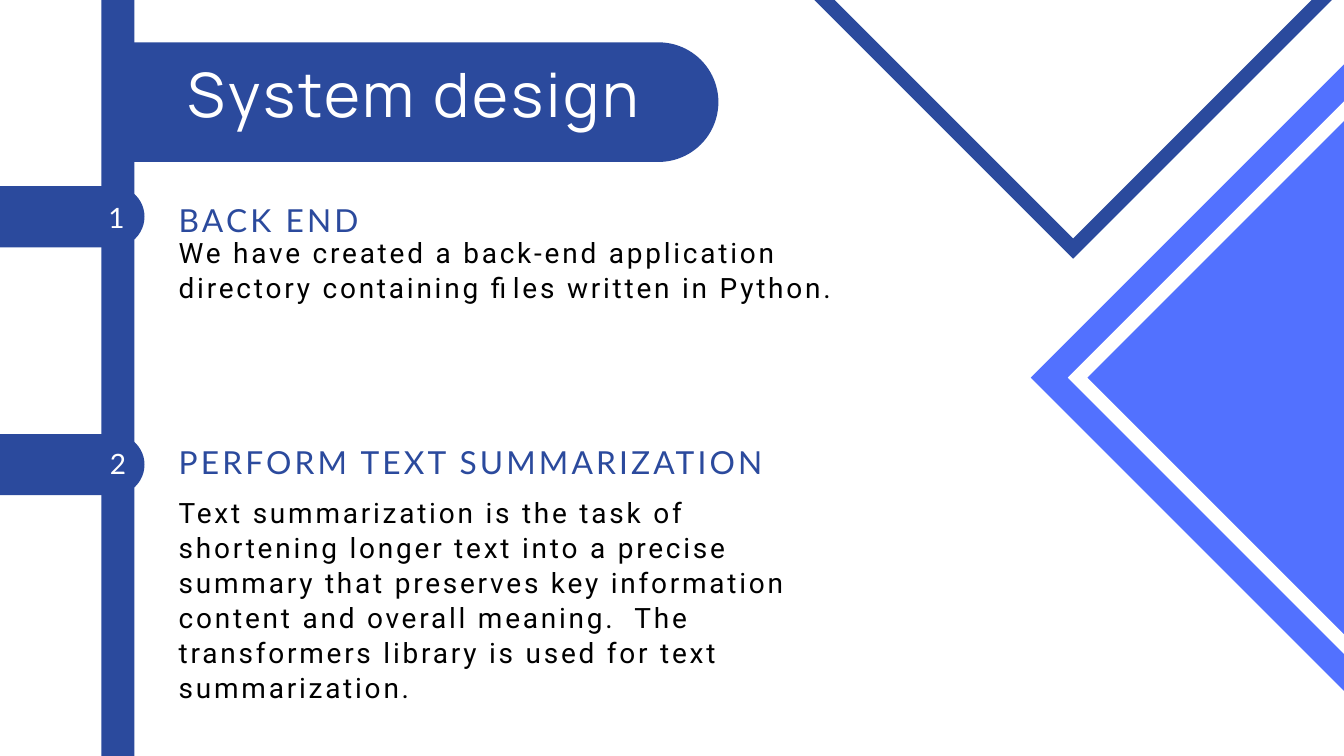
from pptx import Presentation
from pptx.dml.color import RGBColor
from pptx.enum.shapes import MSO_SHAPE
from pptx.enum.text import MSO_ANCHOR, MSO_AUTO_SIZE, PP_ALIGN
from pptx.util import Inches, Pt

NAVY = RGBColor(0x2B, 0x4A, 0x9D)
BLUE = RGBColor(0x52, 0x71, 0xFF)
WHITE = RGBColor(0xFF, 0xFF, 0xFF)
BLACK = RGBColor(0x00, 0x00, 0x00)
LEFT, CENTER = PP_ALIGN.LEFT, PP_ALIGN.CENTER
TOP, NO_AUTOFIT = MSO_ANCHOR.TOP, MSO_AUTO_SIZE.NONE
RECTANGLE, DIAMOND = MSO_SHAPE.RECTANGLE, MSO_SHAPE.DIAMOND
ROUNDED_END = MSO_SHAPE.ROUND_2_SAME_RECTANGLE

TITLE_ONLY = 5
SLIDE_WIDTH, SLIDE_HEIGHT = 20, 11.25
TEXT_LEFT, TEXT_WIDTH = 2.66, 9.76

# Number, its left and top, tag top, heading, heading top, body, body top, body height
SECTIONS = [
    ("1", 1.47, 2.9, 2.77, "BACK END", 2.9,
     "We have created a back-end application directory containing files "
     "written in Python.", 3.49, 1.04),
    ("2", 1.49, 6.56, 6.46, "PERFORM TEXT SUMMARIZATION", 6.5,
     "Text summarization is the task of shortening longer text into a precise "
     "summary that preserves key information content and overall meaning.  The "
     "transformers library is used for text summarization.", 7.35, 2.6),
]


class SlideBuilder:
    """Holds the current slide and draws each kind of element in its style."""

    # Font, size, line spacing, letter spacing (points), colour, alignment
    STYLES = {
        "title": ("Manrope", 65.6, 68.8, 3.3, WHITE, CENTER),
        "heading": ("Lato", 34, 47.6, 3.4, NAVY, LEFT),
        "number": ("Lato", 30, 42, 3, WHITE, CENTER),
        "body": ("Roboto", 30, 37.5, 3, BLACK, LEFT),
    }

    def __init__(self, slide):
        self.shapes = slide.shapes

    def paint(self, shape, color):
        shape.shadow.inherit = False
        shape.fill.solid()
        shape.fill.fore_color.rgb = color
        shape.line.fill.background()
        return shape

    def block(self, preset, left, top, width, height, color):
        shape = self.shapes.add_shape(
            preset, Inches(left), Inches(top), Inches(width), Inches(height))
        return self.paint(shape, color)

    def diamond(self, center_x, center_y, half, color):
        self.block(DIAMOND, center_x - half, center_y - half,
                   2 * half, 2 * half, color)

    def diamond_frame(self, center_x, center_y, outer, inner, color):
        def corners(half, turn):
            steps = [(0, -1), (turn, 0), (0, 1), (-turn, 0)]
            return [(Inches(center_x + half * x), Inches(center_y + half * y))
                    for x, y in steps]

        rim, hole = corners(outer, 1), corners(inner, -1)
        builder = self.shapes.build_freeform(*rim[0])
        builder.add_line_segments(rim[1:], close=True)
        builder.move_to(*hole[0])
        builder.add_line_segments(hole[1:], close=True)
        self.paint(builder.convert_to_shape(), color)

    def tag(self, left, top, width, height):
        """Bar with a round right end: an upright shape turned a quarter."""
        shape = self.block(ROUNDED_END, left + (width - height) / 2,
                           top + (height - width) / 2, height, width, NAVY)
        shape.adjustments[0] = 0.5
        shape.rotation = 90

    def set_text(self, box, text, style):
        font_name, size, leading, tracking, color, align = self.STYLES[style]
        frame = box.text_frame
        frame.text = text
        frame.word_wrap = True
        frame.auto_size = NO_AUTOFIT
        frame.vertical_anchor = TOP
        frame.margin_left = frame.margin_right = 0
        frame.margin_top = frame.margin_bottom = 0
        paragraph = frame.paragraphs[0]
        paragraph.alignment = align
        paragraph.line_spacing = Pt(leading)
        paragraph.space_before = Pt(0)
        run = paragraph.runs[0]
        run.font.name = font_name
        run.font.size = Pt(size)
        run.font.color.rgb = color
        run._r.get_or_add_rPr().set("spc", str(round(tracking * 100)))

    def text(self, text, left, top, width, height, style):
        box = self.shapes.add_textbox(
            Inches(left), Inches(top), Inches(width), Inches(height))
        self.set_text(box, text, style)

    def title(self, text, left, top, width, height):
        title = self.shapes.title
        title.left, title.top = Inches(left), Inches(top)
        title.width, title.height = Inches(width), Inches(height)
        self.set_text(title, text, "title")
        # Bring the placeholder in front of its banner
        title.element.getparent().append(title.element)


def main():
    presentation = Presentation()
    presentation.slide_width = Inches(SLIDE_WIDTH)
    presentation.slide_height = Inches(SLIDE_HEIGHT)
    layout = presentation.slide_layouts[TITLE_ONLY]
    page = SlideBuilder(presentation.slides.add_slide(layout))

    # Timeline bar and diamonds on the right
    page.block(RECTANGLE, 1.51, 0, 0.49, SLIDE_HEIGHT, NAVY)
    page.diamond(20.42, 5.62, 5.08, BLUE)
    page.diamond_frame(20.42, 5.62, 4.53, 4.24, WHITE)
    page.diamond_frame(15.97, -0.92, 4.77, 4.47, NAVY)

    # Title banner
    page.tag(1.99, 0.63, 8.7, 1.78)
    page.title("System design", 2.32, 0.97, 7.68, 1.05)

    # Numbered sections
    for (number, number_left, number_top, tag_top, heading, heading_top,
         body, body_top, body_height) in SECTIONS:
        page.tag(0, tag_top, 2.15, 0.91)
        page.text(number, number_left, number_top, 0.53, 0.57, "number")
        page.text(heading, TEXT_LEFT, heading_top, TEXT_WIDTH, 0.63, "heading")
        page.text(body, TEXT_LEFT, body_top, TEXT_WIDTH, body_height, "body")

    presentation.save("out.pptx")


if __name__ == "__main__":
    main()
